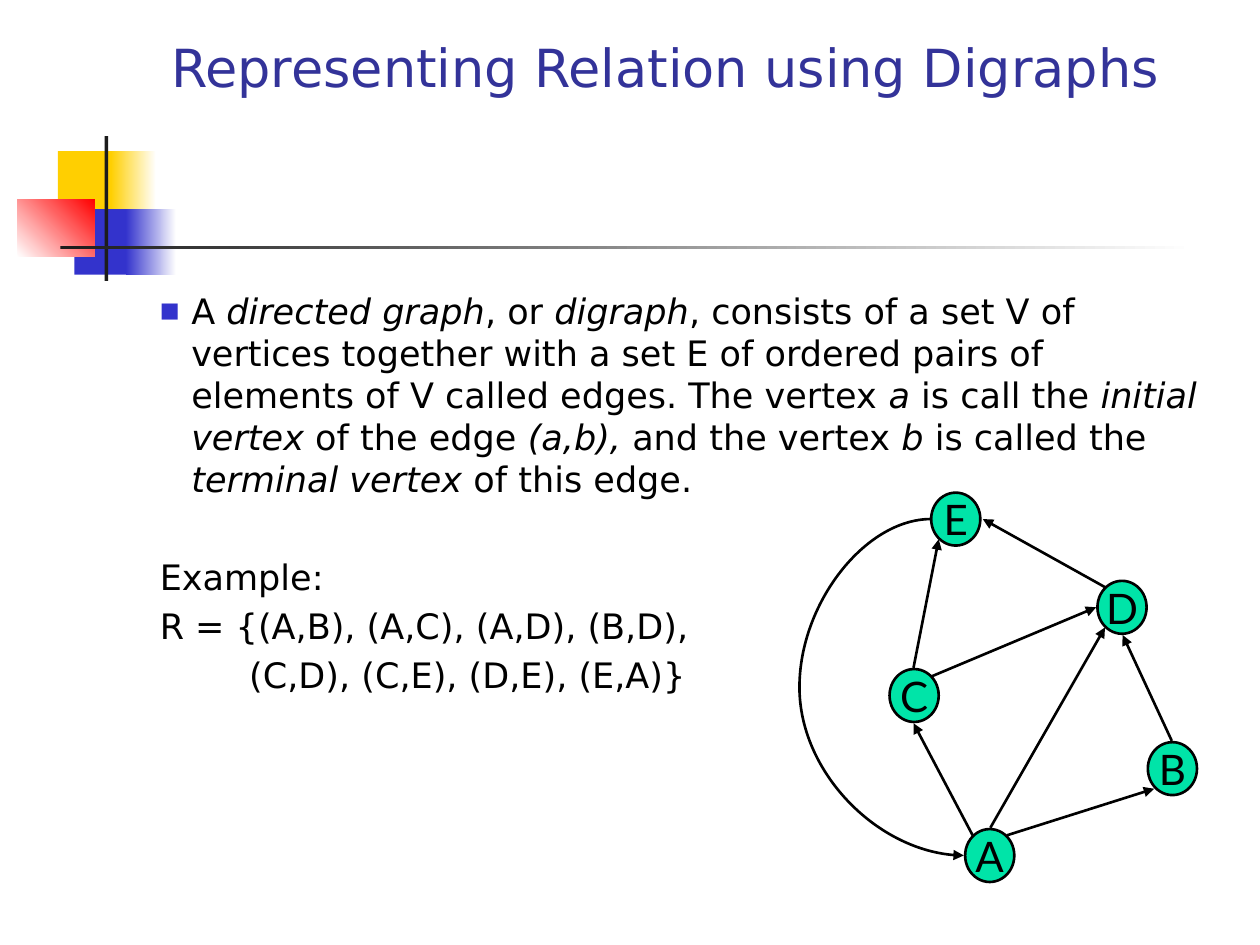
from lxml import etree
from pptx import Presentation
from pptx import util as u
from pptx.dml import color
from pptx.enum import shapes, text
from pptx.oxml import ns

Inches, Pt = u.Inches, u.Pt


def rgb(value):
    return color.RGBColor.from_string(value)


def add_xml(parent, tag, **attributes):
    return etree.SubElement(parent, ns.qn(tag), **attributes)


class Deck:
    FONT, NODE_FONT = "DejaVu Sans", "Lato"
    INK, TITLE, BLUE, NODE = "000000", "333399", "3333CC", "00E4A8"
    NODE_SIZE = (0.39, 0.42)

    def __init__(self, slide):
        self.slide = slide

    def block(self, left, top, width, height, start, end=None, angle=0):
        """Draw a borderless rectangle, with a gradient if end is given."""
        rect = self.slide.shapes.add_shape(
            shapes.MSO_SHAPE.RECTANGLE, *map(Inches, (left, top, width, height)))
        rect.shadow.inherit = False
        rect.line.fill.background()
        if end is None:
            rect.fill.solid()
            rect.fill.fore_color.rgb = rgb(start)
            return
        rect.fill.gradient()
        rect.fill.gradient_angle = angle
        for stop, position, value in zip(rect.fill.gradient_stops, (0, 1), (start, end)):
            stop.position = position
            stop.color.rgb = rgb(value)

    def text_frame(self, left, top, width, height):
        box = self.slide.shapes.add_textbox(*map(Inches, (left, top, width, height)))
        box.text_frame.word_wrap = True
        return box.text_frame

    def run(self, paragraph, words, size, ink=INK, font=FONT, italic=False):
        run = paragraph.add_run()
        run.text = words
        run.font.size, run.font.name, run.font.italic = Pt(size), font, italic
        run.font.color.rgb = rgb(ink)

    def paragraph(self, paragraph, phrases, before=0, margin=0.0, bullet=False):
        """Write phrases in turn upright and italic."""
        paragraph.space_before = Pt(before)
        paragraph.line_spacing = Pt(24)
        props = paragraph._p.get_or_add_pPr()
        props.set("marL", str(Inches(margin)))
        props.set("indent", str(Inches(-margin if bullet else 0)))
        if bullet:
            add_xml(add_xml(props, "a:buClr"), "a:srgbClr", val=self.BLUE)
            add_xml(props, "a:buSzPct", val="60000")
            add_xml(props, "a:buFont", typeface=self.FONT)
            add_xml(props, "a:buChar", char="■")
        for index, phrase in enumerate(phrases):
            self.run(paragraph, phrase, 20, italic=index % 2 == 1)

    def vertex(self, label, left, top):
        oval = self.slide.shapes.add_shape(
            shapes.MSO_SHAPE.OVAL, *map(Inches, (left, top, *self.NODE_SIZE)))
        oval.shadow.inherit = False
        oval.fill.solid()
        oval.fill.fore_color.rgb = rgb(self.NODE)
        oval.line.color.rgb = rgb(self.INK)
        oval.line.width = Pt(1.5)
        frame = oval.text_frame
        frame.word_wrap = False
        frame.vertical_anchor = text.MSO_ANCHOR.MIDDLE
        frame.paragraphs[0].alignment = text.PP_ALIGN.CENTER
        self.run(frame.paragraphs[0], label, 24, font=self.NODE_FONT)

    def edge(self, start, end, arrow="a:tailEnd", bend=None):
        """Join two points; bend is the curve's reach as a multiple of its width."""
        kind = shapes.MSO_CONNECTOR.STRAIGHT if bend is None else shapes.MSO_CONNECTOR.CURVE
        line = self.slide.shapes.add_connector(kind, *map(Inches, (*start, *end)))
        line.line.color.rgb = rgb(self.INK)
        line.line.width = Pt(1.5)
        add_xml(line.line._get_or_add_ln(), arrow, type="triangle")
        props = line._element.spPr
        add_xml(props, "a:effectLst")
        if bend is not None:
            guides = props.find(ns.qn("a:prstGeom")).get_or_add_avLst()
            add_xml(guides, "a:gd", name="adj1", fmla=f"val {round(bend * 100000)}")


def main():
    prs = Presentation()
    prs.slide_width, prs.slide_height = Inches(10), Inches(7.5)
    deck = Deck(prs.slides.add_slide(prs.slide_layouts[6]))

    yellow, blue, red, dark, white = "FFCF01", deck.BLUE, "FF0000", "1C1C1C", "FFFFFF"
    deck.block(0.46, 1.2, 0.48, 0.52, yellow)
    deck.block(0.88, 1.2, 0.36, 0.52, yellow, white)
    deck.block(0.59, 1.66, 0.46, 0.52, blue)
    deck.block(1, 1.66, 0.4, 0.52, blue, white)
    deck.block(0.14, 1.58, 0.61, 0.46, white, red, 45)
    deck.block(0.83, 1.08, 0.03, 1.15, dark)
    deck.block(0.48, 1.95, 9, 0.03, dark, white)

    title = deck.text_frame(1.26, 0.23, 8.52, 1.6)
    deck.run(title.paragraphs[0], "Representing Relation using Digraphs", 30, deck.TITLE)

    body = deck.text_frame(1.17, 2.25, 8.5, 4.5)
    definition = (
        "A ", "directed graph", ", or ", "digraph",
        ", consists of a set V of vertices together with a set E of ordered pairs"
        " of elements of V called edges. The vertex ", "a", " is call the ",
        "initial vertex", " of the edge ", "(a,b),", " and the vertex ", "b ",
        "is called the ", "terminal vertex", " of this edge.")
    deck.paragraph(body.paragraphs[0], definition, margin=0.25, bullet=True)
    for words, before, margin in (
            ("Example:", 32, 0),
            ("R = {(A,B), (A,C), (A,D), (B,D),", 4, 0),
            ("(C,D), (C,E), (D,E), (E,A)}", 4, 0.71)):
        deck.paragraph(body.add_paragraph(), [words], before, margin)

    vertices = {"A": (7.66, 6.58), "C": (7.06, 5.31), "E": (7.39, 3.91),
                "B": (9.11, 5.89), "D": (8.71, 4.61)}
    for label, corner in vertices.items():
        deck.vertex(label, *corner)

    edges = {
        "AC": ((7.72, 6.63), (7.25, 5.74)),
        "AB": ((7.99, 6.63), (9.16, 6.26)),
        "CE": ((7.25, 5.3), (7.45, 4.28)),
        "DE": ((8.77, 4.66), (7.8, 4.12)),
        "BD": ((9.3, 5.88), (8.91, 5.04)),
        "AD": ((7.86, 6.57), (8.77, 4.98)),
        "CD": ((7.39, 5.37), (8.7, 4.82)),
    }
    for start, end in edges.values():
        deck.edge(start, end)
    deck.edge((7.65, 6.79), (7.39, 4.12), arrow="a:headEnd", bend=5.02)

    prs.save("out.pptx")


if __name__ == "__main__":
    main()
